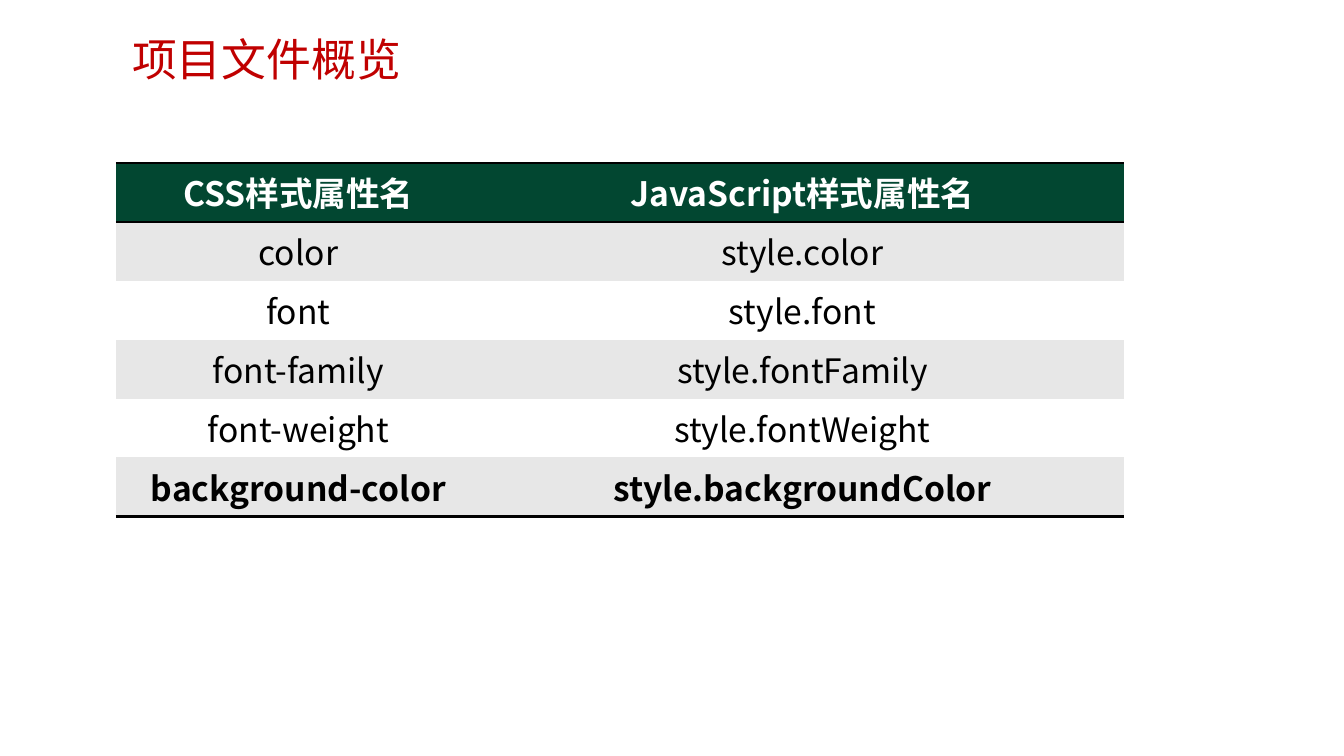
"""Build a slide that maps CSS property names to JavaScript style names."""
import dataclasses

import lxml.etree
import pptx
import pptx.dml.color
import pptx.enum.text
import pptx.oxml.ns
import pptx.util


@dataclasses.dataclass(frozen=True)
class Theme:
    """Hold the colours, font and sizes of the slide."""
    font: str = "Noto Sans CJK SC"
    title_size: int = 32
    table_size: int = 24
    rule_width: int = 2
    title: str = "C00000"
    header: str = "024731"
    header_text: str = "FFFFFF"
    text: str = "000000"
    bands: tuple = ("FFFFFF", "E7E7E7")


class SlideBuilder:
    """Add styled elements to one slide."""

    def __init__(self, slide, theme):
        """Keep the slide and its theme."""
        self.slide = slide
        self.theme = theme

    def add_run(self, paragraph, text, size, color, bold=False):
        """Append a run in the theme font."""
        run = paragraph.add_run()
        run.text = text
        run.font.name = self.theme.font
        run.font.size = pptx.util.Pt(size)
        run.font.bold = bold
        run.font.color.rgb = pptx.dml.color.RGBColor.from_string(color)
        east_asian = lxml.etree.SubElement(run.font._element, pptx.oxml.ns.qn("a:ea"))
        east_asian.set("typeface", self.theme.font)

    def set_margins(self, target, horizontal, vertical):
        """Give a text frame or cell equal opposite margins."""
        target.margin_left = target.margin_right = pptx.util.Pt(horizontal)
        target.margin_top = target.margin_bottom = pptx.util.Pt(vertical)

    def add_title(self, text, left, top, width, height):
        """Place the slide title."""
        box = self.slide.shapes.add_textbox(*map(pptx.util.Pt, (left, top, width, height)))
        frame = box.text_frame
        frame.word_wrap = True
        self.set_margins(frame, 8.64, 4.32)
        self.add_run(frame.paragraphs[0], text, self.theme.title_size, self.theme.title)

    def set_borders(self, cell, ruled_sides):
        """Rule the named sides of a cell and clear the others."""
        properties = cell._tc.get_or_add_tcPr()
        for side in "LRTB":
            line = lxml.etree.SubElement(properties, pptx.oxml.ns.qn(f"a:ln{side}"))
            if side in ruled_sides:
                line.set("w", str(pptx.util.Pt(self.theme.rule_width)))
                fill = lxml.etree.SubElement(line, pptx.oxml.ns.qn("a:solidFill"))
                color = lxml.etree.SubElement(fill, pptx.oxml.ns.qn("a:srgbClr"))
                color.set("val", self.theme.text)
            else:
                lxml.etree.SubElement(line, pptx.oxml.ns.qn("a:noFill"))

    def fill_cell(self, cell, text, fill, color, bold, ruled_sides):
        """Style a table cell and write its text."""
        self.set_borders(cell, ruled_sides)
        cell.fill.solid()
        cell.fill.fore_color.rgb = pptx.dml.color.RGBColor.from_string(fill)
        self.set_margins(cell, 9.36, 3.6)
        paragraph = cell.text_frame.paragraphs[0]
        paragraph.alignment = pptx.enum.text.PP_ALIGN.CENTER
        self.add_run(paragraph, text, self.theme.table_size, color, bold)

    def add_table(self, rows, left, top, column_widths, row_height):
        """Add a banded table with a bold header and last row."""
        frame = self.slide.shapes.add_table(
            len(rows), len(column_widths),
            *map(pptx.util.Pt, (left, top, sum(column_widths), row_height * len(rows))))
        table = frame.table
        table.horz_banding = False
        for column, width in zip(table.columns, column_widths):
            column.width = pptx.util.Pt(width)
        last = len(rows) - 1
        for row_index, texts in enumerate(rows):
            is_header = row_index == 0
            fill = self.theme.header if is_header else self.theme.bands[row_index % 2]
            color = self.theme.header_text if is_header else self.theme.text
            ruled_sides = ("T" if row_index < 2 else "") + ("B" if row_index in (0, last) else "")
            for column_index, text in enumerate(texts):
                self.fill_cell(table.cell(row_index, column_index), text, fill, color,
                               row_index in (0, last), ruled_sides)


PROPERTY_NAMES = [
    ("CSS样式属性名", "JavaScript样式属性名"),
    ("color", "style.color"),
    ("font", "style.font"),
    ("font-family", "style.fontFamily"),
    ("font-weight", "style.fontWeight"),
    ("background-color", "style.backgroundColor"),
]


def main():
    """Create and save the presentation."""
    presentation = pptx.Presentation()
    presentation.slide_width = pptx.util.Pt(960)
    presentation.slide_height = pptx.util.Pt(540)
    slide = presentation.slides.add_slide(presentation.slide_layouts[6])
    builder = SlideBuilder(slide, Theme())
    builder.add_title("项目文件概览", 85.68, 18.72, 645.12, 38.88)
    builder.add_table(PROPERTY_NAMES, 82.8, 116.3, (260.64, 459.36), 42.1)
    presentation.save("out.pptx")


if __name__ == "__main__":
    main()
